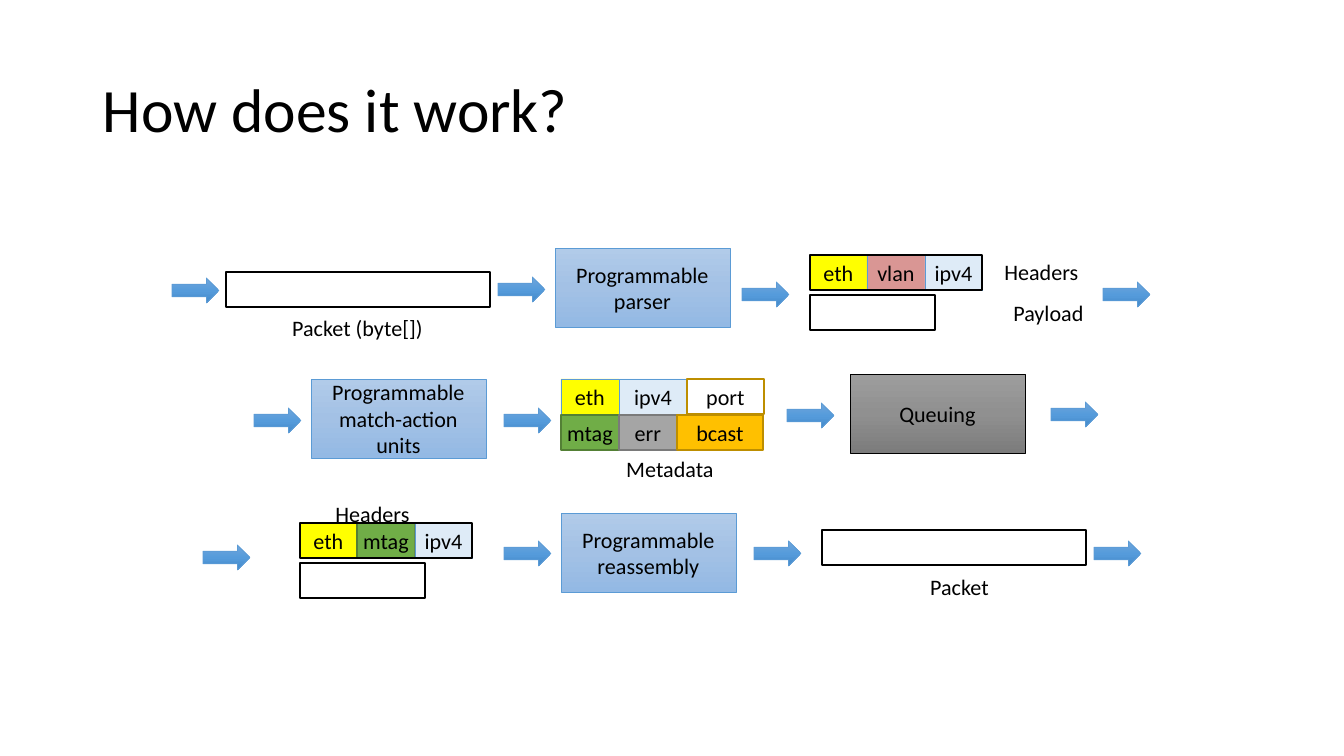
import pptx
import pptx.dml.color
import pptx.enum.shapes
import pptx.enum.text
import pptx.oxml
import pptx.oxml.ns
import pptx.util
from lxml import etree

EMU_PER_PX = 914400 / 100.8
SLIDE_SIZE = (1344, 756)
FONT = "Calibri"
BODY_SIZE = 15.8

TITLE = "How does it work?"
TITLE_BOX = (93, 40, 1159, 146)

BLUE_BLOCK = ("B1CBE9", "A3C1E5", "93B9E4")
GRAY_BLOCK = ("9D9D9D", "909090", "7C7C7C")
BLUE_ARROW = ("71A6DB", "559BDB", "448ACA")
BLUE_LINE = "5B9BD5"

# field: (fill, line, line width in points)
FIELD_STYLES = {
    "eth": ("FFFF00", BLUE_LINE, 0.5),
    "vlan": ("D99694", BLUE_LINE, 0.5),
    "ipv4": ("DEEBF7", BLUE_LINE, 0.5),
    "mtag": ("70AD47", "538035", 1),
    "err": ("A5A5A5", "7A7A7A", 1),
    "bcast": ("FFC000", "BD8E00", 1),
    "port": (None, "BD8E00", 1),
}

BLOCK_SIZE = (175, 79)
BLOCKS = [  # left, top, lines, gradient, outline
    (555, 248, ["Programmable", "parser"], BLUE_BLOCK, BLUE_LINE),
    (311, 379, ["Programmable", "match-action", "units"], BLUE_BLOCK, BLUE_LINE),
    (561, 513, ["Programmable", "reassembly"], BLUE_BLOCK, BLUE_LINE),
    (850, 374, ["Queuing"], GRAY_BLOCK, "000000"),
]

ROW_HEIGHT = 35
FIELD_ROWS = [  # left, top, (field, width) pairs, framed in black
    (810, 255, [("eth", 57), ("vlan", 58), ("ipv4", 57)], True),
    (561, 379, [("eth", 58), ("ipv4", 68), ("port", 77)], False),
    (561, 415, [("mtag", 58), ("err", 58), ("bcast", 86)], False),
    (300, 523, [("eth", 57), ("mtag", 58), ("ipv4", 57)], True),
]

PACKET_BARS = [  # left, top, width
    (226, 272, 264),
    (810, 295, 125),
    (300, 563, 125),
    (822, 530, 264),
]

ARROW_SIZE = (47, 25)
ARROWS = [
    (172, 278), (498, 277), (742, 282), (1103, 282),
    (254, 408), (504, 408), (787, 403), (1051, 402),
    (203, 545), (504, 541), (754, 541), (1094, 541),
]

LABEL_HEIGHT = 36
LABELS = [  # left, top, width, text
    (283, 310, 149, "Packet (byte[])"),
    (995, 254, 93, "Headers"),
    (1004, 295, 89, "Payload"),
    (617, 451, 106, "Metadata"),
    (326, 496, 93, "Headers"),
    (921, 569, 77, "Packet"),
]


def px(length):
    return pptx.util.Emu(round(length * EMU_PER_PX))


def color(hex_code):
    return pptx.dml.color.RGBColor.from_string(hex_code)


def fill_gradient(shape, colors):
    """Fill from top to bottom with evenly spaced colors."""
    shape.fill.gradient()
    shape.fill.gradient_angle = 270
    qn = pptx.oxml.ns.qn
    stops = shape._element.spPr.find(qn("a:gradFill")).find(qn("a:gsLst"))
    for stop in list(stops):
        stops.remove(stop)
    for index, hex_code in enumerate(colors):
        position = 100000 * index // (len(colors) - 1)
        stop = etree.SubElement(stops, qn("a:gs"), pos=str(position))
        etree.SubElement(stop, qn("a:srgbClr"), val=hex_code)


def write(shape, lines, wrap, anchor="MIDDLE", size=BODY_SIZE, align="CENTER", insets=(9, 4)):
    frame = shape.text_frame
    frame.word_wrap = wrap
    frame.vertical_anchor = getattr(pptx.enum.text.MSO_ANCHOR, anchor)
    frame.margin_left = frame.margin_right = px(insets[0])
    frame.margin_top = frame.margin_bottom = px(insets[1])
    for index, line in enumerate(lines):
        paragraph = frame.add_paragraph() if index else frame.paragraphs[0]
        paragraph.alignment = getattr(pptx.enum.text.PP_ALIGN, align)
        run = paragraph.add_run()
        run.text = line
        run.font.size = pptx.util.Pt(size)
        run.font.name = FONT
        run.font.color.rgb = color("000000")


def add_box(slide, box, fill, line, line_width, preset="RECTANGLE"):
    """Add a shape; fill is a hex color, a tuple of gradient colors or None."""
    kind = getattr(pptx.enum.shapes.MSO_SHAPE, preset)
    shape = slide.shapes.add_shape(kind, *map(px, box))
    shape.shadow.inherit = False
    if fill is None:
        shape.fill.background()
    elif isinstance(fill, tuple):
        fill_gradient(shape, fill)
    else:
        shape.fill.solid()
        shape.fill.fore_color.rgb = color(fill)
    shape.line.color.rgb = color(line)
    shape.line.width = pptx.util.Pt(line_width)
    return shape


def add_field_row(slide, left, top, fields, framed):
    field_left = left
    for field, width in fields:
        cell = add_box(slide, (field_left, top, width, ROW_HEIGHT), *FIELD_STYLES[field])
        write(cell, [field], wrap=False)
        field_left += width
    if framed:
        add_box(slide, (left, top, field_left - left, ROW_HEIGHT), None, "000000", 1)


def main():
    deck = pptx.Presentation()
    deck.slide_width, deck.slide_height = map(px, SLIDE_SIZE)
    slide = deck.slides.add_slide(deck.slide_layouts[6])

    title = slide.shapes.add_textbox(*map(px, TITLE_BOX))
    write(title, [TITLE], wrap=True, size=44, align="LEFT", insets=(10, 5))
    title.text_frame.paragraphs[0].line_spacing = 0.9

    for left, top, width in PACKET_BARS:
        add_box(slide, (left, top, width, ROW_HEIGHT), "FFFFFF", "000000", 1)
    for left, top, lines, gradient, outline in BLOCKS:
        block = add_box(slide, (left, top, *BLOCK_SIZE), gradient, outline, 0.5)
        write(block, lines, wrap=True)
    for row in FIELD_ROWS:
        add_field_row(slide, *row)
    for corner in ARROWS:
        add_box(slide, (*corner, *ARROW_SIZE), BLUE_ARROW, BLUE_LINE, 0.5, "RIGHT_ARROW")
    for left, top, width, text in LABELS:
        label = slide.shapes.add_textbox(*map(px, (left, top, width, LABEL_HEIGHT)))
        write(label, [text], wrap=False, anchor="TOP")

    deck.save("out.pptx")


if __name__ == "__main__":
    main()
